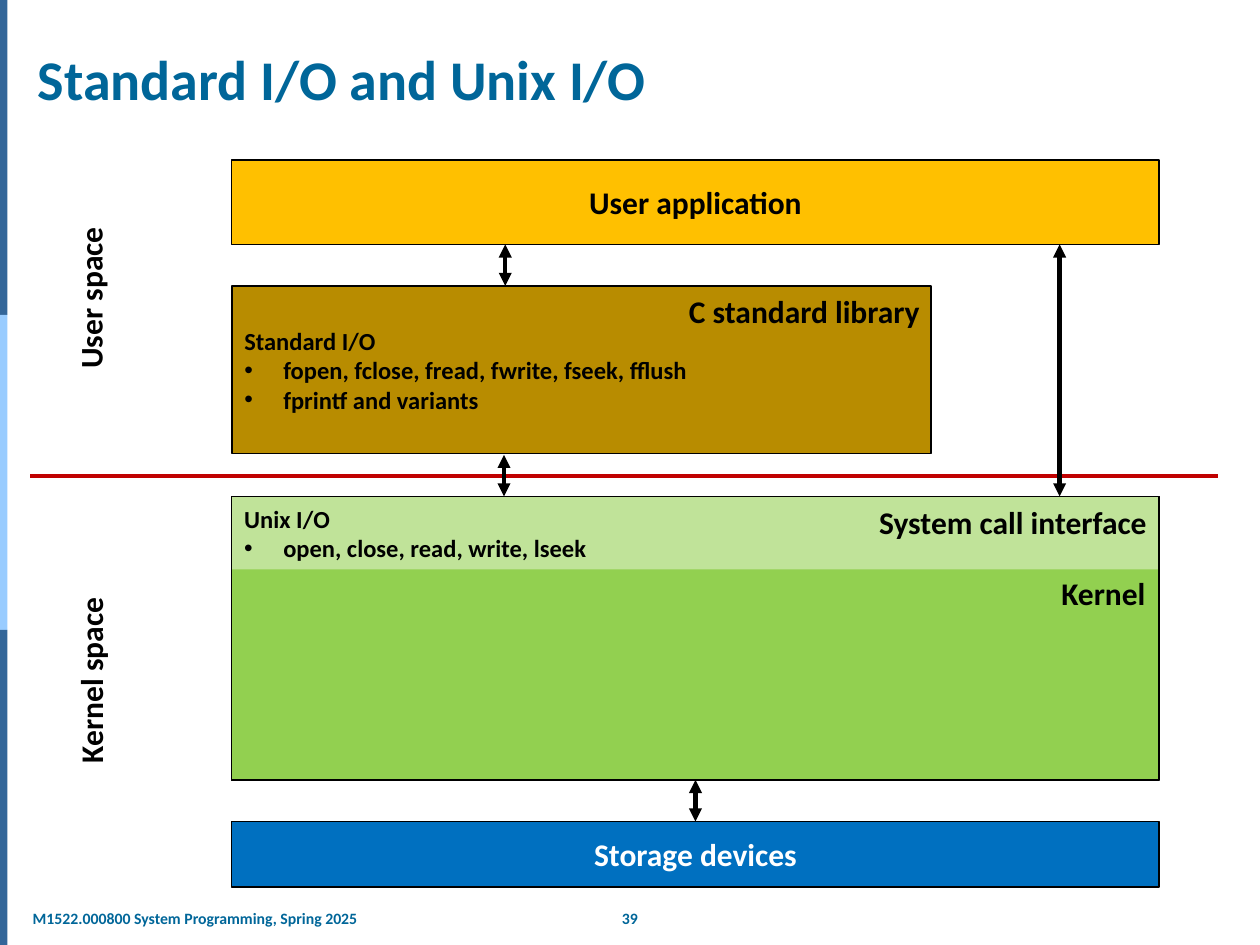
import pptx
import pptx.util
import pptx.dml.color
import pptx.enum.shapes
import pptx.enum.text
import pptx.oxml
import pptx.oxml.ns
from lxml import etree

Inches, Pt = pptx.util.Inches, pptx.util.Pt
RGBColor = pptx.dml.color.RGBColor
ALIGN = pptx.enum.text.PP_ALIGN
ANCHOR = pptx.enum.text.MSO_ANCHOR
qn = pptx.oxml.ns.qn

FONT = "Calibri"
BLACK = RGBColor(0x00, 0x00, 0x00)
WHITE = RGBColor(0xFF, 0xFF, 0xFF)
TEAL = RGBColor(0x00, 0x66, 0x99)
DARK_BAR = RGBColor(0x33, 0x66, 0x99)
LIGHT_BAR = RGBColor(0x99, 0xCC, 0xFF)
RED = RGBColor(0xC0, 0x00, 0x00)
BLUE = RGBColor(0x00, 0x70, 0xC0)
GREEN = RGBColor(0x92, 0xD0, 0x50)
PALE_GREEN = RGBColor(0xC0, 0xE3, 0x99)
AMBER = RGBColor(0xFF, 0xC0, 0x00)
BROWN = RGBColor(0xB8, 0x8C, 0x00)

# Content
TITLE = "Standard I/O and Unix I/O"
LEFT, WIDTH = 1.84, 7.36
KERNEL_AREA = (LEFT, 3.94, WIDTH, 2.25)

# Layers: name, area, fill, outlined
LAYERS = [
    ("storage", (LEFT, 6.52, WIDTH, 0.52), BLUE, True),
    ("kernel", KERNEL_AREA, GREEN, True),
    ("system calls", (LEFT, 3.94, WIDTH, 0.58), PALE_GREEN, False),
    ("application", (LEFT, 1.27, WIDTH, 0.67), AMBER, True),
    ("library", (LEFT, 2.27, 5.55, 1.33), BROWN, True),
    ("kernel outline", KERNEL_AREA, None, True),
]
# Centred names: layer, text, colour
NAMES = [("storage", "Storage devices", WHITE), ("application", "User application", BLACK)]
# Function lists: layer, heading, bullets
FUNCTIONS = [
    ("system calls", "Unix I/O", ["open, close, read, write, lseek"]),
    ("library", "Standard I/O",
     ["fopen, fclose, fread, fwrite, fseek, fflush", "fprintf and variants"]),
]
# Labels: text, area, alignment, size, colour, rotation, wrap
LABELS = [
    ("C standard library", (5.35, 2.27, 2.05, 0.4), ALIGN.RIGHT, 18, BLACK, 0, False),
    ("System call interface", (6.86, 3.94, 2.34, 0.4), ALIGN.RIGHT, 18, BLACK, 0, False),
    ("Kernel", (8.32, 4.51, 0.87, 0.4), ALIGN.RIGHT, 18, BLACK, 0, False),
    ("User space", (-0.15, 2.37, 1.73, 0.4), ALIGN.RIGHT, 18, BLACK, 270, True),
    ("Kernel space", (-0.91, 5.2, 3.26, 0.4), ALIGN.CENTER, 18, BLACK, 270, True),
    ("39", (4.82, 7.16, 0.36, 0.25), ALIGN.CENTER, 9, TEAL, 0, False),
    ("M1522.000800 System Programming, Spring 2025", (0.2, 7.16, 2.72, 0.25),
     ALIGN.LEFT, 9, TEAL, 0, False),
]
# Vertical arrows: x, top, bottom
ARROWS = [(4, 3.61, 3.94), (8.41, 1.94, 3.94), (4.01, 1.94, 2.27)]


def add_span(para, text, size, color):
    span = para.add_run()
    span.text = text
    span.font.name = FONT
    span.font.size = Pt(size)
    span.font.bold = True
    span.font.color.rgb = color


def add_rectangle(area, fill, outlined):
    box = page.shapes.add_shape(
        pptx.enum.shapes.MSO_SHAPE.RECTANGLE, *map(Inches, area))
    box.shadow.inherit = False
    if fill is None:
        box.fill.background()
    else:
        box.fill.solid()
        box.fill.fore_color.rgb = fill
    if outlined:
        box.line.color.rgb = BLACK
        box.line.width = Pt(0.75)
    else:
        box.line.fill.background()
    return box


def add_line(x1, y1, x2, y2, color, arrows=True):
    line = page.shapes.add_connector(
        pptx.enum.shapes.MSO_CONNECTOR.STRAIGHT, *map(Inches, (x1, y1, x2, y2)))
    line.line.color.rgb = color
    line.line.width = Pt(2.5)
    if arrows:
        outline = line.line._get_or_add_ln()
        for end in ("a:headEnd", "a:tailEnd"):
            etree.SubElement(outline, qn(end), type="triangle")
    etree.SubElement(line._element.spPr, qn("a:effectLst"))
    return line


def set_bullet(para):
    settings = para._p.get_or_add_pPr()
    indent = Inches(0.31)
    settings.set("marL", str(indent))
    settings.set("indent", str(-indent))
    etree.SubElement(settings, qn("a:buFont"), typeface="Arial")
    etree.SubElement(settings, qn("a:buChar"), char="•")


deck = pptx.Presentation()
deck.slide_width, deck.slide_height = Inches(10), Inches(7.5)
page = deck.slides.add_slide(deck.slide_layouts[5])

# Side bar
for index, color in enumerate([DARK_BAR, LIGHT_BAR, DARK_BAR]):
    add_rectangle((0, 2.5 * index, 0.06, 2.5), color, False)

# Title
title = page.shapes.title
title.left, title.top, title.width, title.height = map(Inches, (0.2, 0.31, 9.65, 0.63))
title.text_frame.vertical_anchor = ANCHOR.BOTTOM
title.text_frame.word_wrap = True
title.text_frame.paragraphs[0].alignment = ALIGN.LEFT
add_span(title.text_frame.paragraphs[0], TITLE, 32, TEAL)

# Border between user space and kernel space
add_line(0.24, 3.78, 9.67, 3.78, RED, arrows=False)

# Layers and their text
boxes = {name: add_rectangle(area, fill, outlined) for name, area, fill, outlined in LAYERS}
for name, text, color in NAMES:
    para = boxes[name].text_frame.paragraphs[0]
    para.alignment = ALIGN.CENTER
    add_span(para, text, 18, color)
for name, heading, bullets in FUNCTIONS:
    frame = boxes[name].text_frame
    frame.word_wrap = True
    frame.vertical_anchor = ANCHOR.MIDDLE
    for index, text in enumerate([heading] + bullets):
        para = frame.add_paragraph() if index else frame.paragraphs[0]
        para.alignment = ALIGN.LEFT
        if index:
            set_bullet(para)
        add_span(para, text, 14, BLACK)

# Arrows between layers
for x, top, bottom in ARROWS:
    add_line(x, top, x, bottom, BLACK)
storage_arrow = add_line(5.52, 6.19, 5.52, 6.52, BLACK)
storage_arrow.begin_connect(boxes["kernel"], 2)
storage_arrow.end_connect(boxes["storage"], 0)

# Labels and footer
for text, area, alignment, size, color, rotation, wrap in LABELS:
    label = page.shapes.add_textbox(*map(Inches, area))
    label.rotation = rotation
    frame = label.text_frame
    frame.word_wrap = wrap
    if size == 9:
        frame.margin_left = frame.margin_right = Inches(0.06)
    para = frame.paragraphs[0]
    para.alignment = alignment
    add_span(para, text, size, color)

deck.save("out.pptx")
